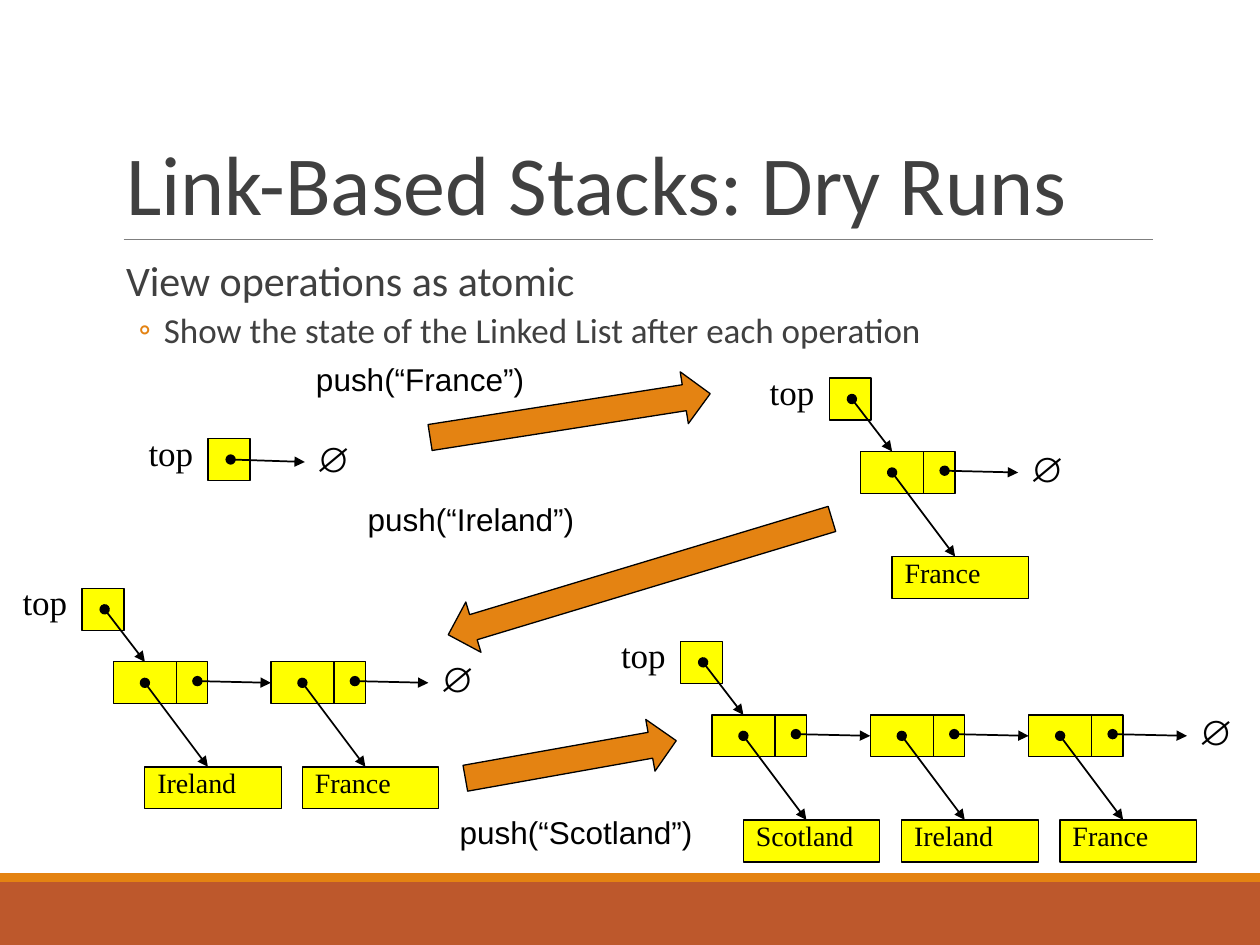
from lxml import etree
from pptx import Presentation
from pptx.dml.color import RGBColor
from pptx.enum import shapes as kinds, text as styles
from pptx.oxml import ns
from pptx.util import Pt

BLACK = RGBColor(0x00, 0x00, 0x00)
GRAY = RGBColor(0x7F, 0x7F, 0x7F)
DARK = RGBColor(0x40, 0x40, 0x40)
YELLOW = RGBColor(0xFF, 0xFF, 0x00)
ORANGE = RGBColor(0xE4, 0x83, 0x12)
RUST = RGBColor(0xBD, 0x58, 0x2C)

LEFT = styles.PP_ALIGN.LEFT
RECTANGLE = kinds.MSO_SHAPE.RECTANGLE
SERIF = "Times New Roman"
CELL = 24
NODE_WIDTH = 54
ITEM_WIDTH = 78


def apply(target, values):
    for name, value in values.items():
        setattr(target, name, value)


def write(paragraph, content, size, font, color=BLACK, **spacing):
    paragraph.text = content
    apply(paragraph, {"alignment": LEFT, **spacing})
    apply(paragraph.font, {"size": Pt(size), "name": font})
    paragraph.font.color.rgb = color


def add_box(slide, box, fill, outline=BLACK, kind=RECTANGLE):
    shape = slide.shapes.add_shape(kind, *map(Pt, box))
    shape.shadow.inherit = False
    shape.fill.solid()
    shape.fill.fore_color.rgb = fill
    if outline is None:
        shape.line.fill.background()
    else:
        shape.line.color.rgb = outline
        shape.line.width = Pt(0.74)
    return shape


def add_label(slide, box, content, size, font, wrap=False, **spacing):
    shape = slide.shapes.add_textbox(*map(Pt, box))
    shape.text_frame.word_wrap = wrap
    write(shape.text_frame.paragraphs[0], content, size, font, **spacing)


def add_line(slide, start, end, color=BLACK, width=0.74):
    line = slide.shapes.add_connector(
        kinds.MSO_CONNECTOR.STRAIGHT, *map(Pt, (*start, *end)))
    line.line.color.rgb = color
    line.line.width = Pt(width)
    etree.SubElement(line._element.spPr, ns.qn("a:effectLst"))
    return line


def add_pointer(slide, start, end):
    outline = add_line(slide, start, end, width=1).line._get_or_add_ln()
    for tag, kind in (("a:headEnd", "oval"), ("a:tailEnd", "triangle")):
        etree.SubElement(outline, ns.qn(tag)).set("type", kind)


def add_null(slide, left, top):
    add_label(slide, (left, top, 30, 31.7), "∅", 20, "Arial", space_before=Pt(5))


def add_node(slide, left, top, item, pitch):
    add_box(slide, (left, top, NODE_WIDTH, CELL), YELLOW)
    add_line(slide, (left + 36, top), (left + 36, top + CELL))
    add_pointer(slide, (left + 48, top + 11), (left + pitch, top + 12))
    add_pointer(slide, (left + 18, top + 12), (left + 54, top + 60))
    shape = add_box(slide, (left + 18, top + 60, ITEM_WIDTH, CELL), YELLOW)
    shape.text_frame.vertical_anchor = styles.MSO_ANCHOR.MIDDLE
    write(shape.text_frame.paragraphs[0], item, 16, SERIF,
          line_spacing=0.6, space_before=Pt(10))


def add_stack(slide, left, top, items, pitch=90):
    add_box(slide, (left, top, CELL, CELL), YELLOW)
    add_label(slide, (left - 41, top + 0.7, 41, 21.6), "top", 20, SERIF, True,
              line_spacing=0.6, space_before=Pt(12.5))
    if not items:
        add_pointer(slide, (left + 13, top + 12), (left + 55.4, top + 13.4))
        add_null(slide, left + 54.7, top - 4)
        return
    add_pointer(slide, (left + 13, top + 12), (left + 36, top + 42))
    for index, item in enumerate(items):
        add_node(slide, left + 18 + index * pitch, top + 42, item, pitch)
    add_null(slide, left + 17.5 + len(items) * pitch, top + 36)


def add_operation(slide, box, rotation, item, label_box):
    arrow = add_box(slide, box, ORANGE, kind=kinds.MSO_SHAPE.RIGHT_ARROW)
    arrow.rotation = rotation
    add_label(slide, label_box, f"push(“{item}”)", 18, "Arial", True)


def add_frame(slide, width, height):
    add_box(slide, (0, height - 36, width, 36), RUST, None)
    add_box(slide, (0, height - 41, width, 5), ORANGE, None)
    add_line(slide, (70.6, 136.8), (658.8, 136.8), GRAY, 0.51)


def add_title(slide, left, top, width, height, content):
    title = slide.shapes.title
    apply(title, dict(zip(("left", "top", "width", "height"),
                          map(Pt, (left, top, width, height)))))
    apply(title.text_frame, {"vertical_anchor": styles.MSO_ANCHOR.BOTTOM,
                             "auto_size": styles.MSO_AUTO_SIZE.NONE})
    write(title.text_frame.paragraphs[0], content, 48, "Calibri", DARK,
          line_spacing=0.85)


def add_body(slide, left, top, width, height, heading, point):
    frame = slide.shapes.add_textbox(*map(Pt, (left, top, width, height))).text_frame
    apply(frame, {"word_wrap": True, "margin_left": 0, "margin_right": 0})
    first, second = frame.paragraphs[0], frame.add_paragraph()
    write(first, heading, 24, "Calibri", DARK, line_spacing=0.9,
          space_before=Pt(12), space_after=Pt(2))
    write(second, point, 20, "Calibri", DARK, level=1, line_spacing=0.9,
          space_before=Pt(2), space_after=Pt(4))
    first._p.get_or_add_pPr().set("marL", str(Pt(7.2)))
    properties = second._p.get_or_add_pPr()
    properties.set("marL", str(Pt(28.8)))
    properties.set("indent", str(Pt(-14.4)))
    bullet_color = etree.Element(ns.qn("a:buClr"))
    etree.SubElement(bullet_color, ns.qn("a:srgbClr")).set("val", str(ORANGE))
    bullet_font = etree.Element(ns.qn("a:buFont"))
    bullet_font.set("typeface", "Calibri")
    bullet = etree.Element(ns.qn("a:buChar"))
    bullet.set("char", "◦")
    position = properties.index(properties.find(ns.qn("a:defRPr")))
    for offset, element in enumerate((bullet_color, bullet_font, bullet)):
        properties.insert(position + offset, element)


presentation = Presentation()
apply(presentation, {"slide_width": Pt(720), "slide_height": Pt(540)})
slide = presentation.slides.add_slide(presentation.slide_layouts[5])

add_frame(slide, 720, 540)
add_title(slide, 64.8, 22.3, 594, 114.5, "Link-Based Stacks: Dry Runs")
add_body(slide, 64.8, 145.4, 594, 316.8, "View operations as atomic",
         "Show the state of the Linked List after each operation")

add_stack(slide, 118.8, 250.6, [])
add_stack(slide, 46.8, 336.2, ["Ireland", "France"])
add_stack(slide, 473.8, 216, ["France"])
add_stack(slide, 388.8, 366.5, ["Scotland", "Ireland", "France"], 90.5)

add_operation(slide, (244.8, 222.5, 162, 30), 351.1, "France",
              (173.5, 202.3, 138, 29))
add_operation(slide, (251.3, 314.6, 229, 30), 163.2, "Ireland",
              (203, 282.2, 138, 29))
add_operation(slide, (265, 419, 122.4, 30), 349.9, "Scotland",
              (255.6, 460.8, 152, 29))

presentation.save("out.pptx")
